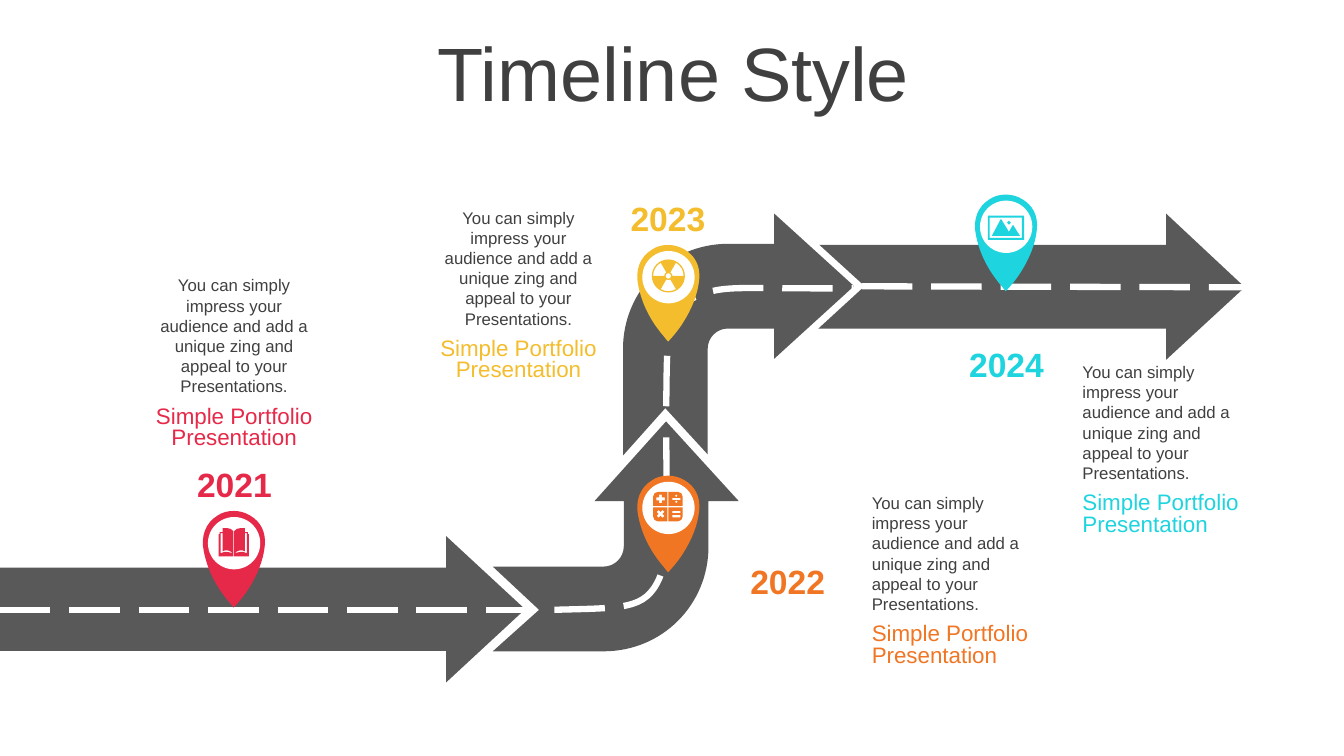
from dataclasses import dataclass
from math import ceil, cos, pi, sin, tan

from lxml.etree import Element, SubElement
from pptx import Presentation
from pptx.dml.color import RGBColor
from pptx.enum.dml import MSO_LINE
from pptx.enum.shapes import MSO_CONNECTOR, MSO_SHAPE
from pptx.enum.text import MSO_ANCHOR, PP_ALIGN
from pptx.oxml.ns import qn
from pptx.util import Pt


@dataclass(frozen=True)
class Theme:
    font: str = "Arial"
    ink: str = "404040"
    road: str = "595959"
    white: str = "FFFFFF"
    red: str = "E62949"
    orange: str = "F07624"
    yellow: str = "F4BD2D"
    cyan: str = "1ED4DE"
    title: int = 54
    year: int = 24
    heading: int = 16
    body: int = 12
    lane: float = 4.5


T = Theme()
BODY = ("You can simply impress your audience and add a unique zing "
        "and appeal to your Presentations.")
HEADING = "Simple Portfolio Presentation"

PIN = [(22.3, 0), (26, 0, 30, 0.9, 33.7, 3.1), (41.6, 7.6, 45.3, 15, 44.5, 24.4),
       (43.4, 36, 38.9, 46, 33, 55.4), (29.8, 60.5, 26, 65, 22.3, 69),
       (21.2, 68, 20.3, 66.7, 19.4, 65.5), (10, 54.7, 3.6, 42.5, 0.9, 28.8),
       (-1.4, 18, 2.2, 8.6, 10.6, 3.4), (14, 1, 18, 0, 22.3, 0)]
TURN_UP = [(0, 164.2), (79.2, 164.2), (121, 164.2, 154.1, 131, 154.1, 89.3),
           (154.1, 56.9), (175.7, 56.9), (123.8, 0), (72.7, 56.9), (93.6, 56.9),
           (93.6, 89.3), (93.6, 97.2, 87.1, 103.7, 79.2, 103.7), (0, 103.7), (33.1, 134.6)]
TURN_RIGHT = [(0, 172.8), (30.2, 139), (60.5, 172), (60.5, 96.5),
              (60.5, 88.6, 67, 82.1, 74.9, 82.1), (108, 82.1), (108, 103.7), (165, 51.8),
              (108, 0), (108, 21.6), (74.9, 21.6), (33.1, 21.6, 0, 55.4, 0, 96.5)]
LAST_ROAD = [(248.4, 104.4), (304.6, 52.6), (248.4, 0), (248.4, 22.3), (0.7, 22.3),
             (33.1, 51.8), (0, 82.1), (248.4, 82.1)]
LANE_UP = [(0, 133.9), (49.7, 132.5, 64.8, 133.9, 74.9, 111.6),
           (82.8, 91.4, 79.9, 82.8, 79.9, 0)]
LANE_RIGHT = [(0, 85), (0.7, 33.1, -0.7, 16.6, 21.6, 6.5),
              (42.5, -2.2, 50.4, 1.4, 133.9, 0.7)]


def rect(x, y, w, h):
    return [(x, y), (x + w, y), (x + w, y + h), (x, y + h)]


def arc(cx, cy, r, start=0, end=360):
    count = ceil(abs(end - start) / 90)
    step = (end - start) / count * pi / 180
    k = 4 / 3 * tan(step / 4)
    a = start * pi / 180
    nodes = [(cx + r * cos(a), cy + r * sin(a))]
    for _ in range(count):
        b = a + step
        nodes.append((cx + r * (cos(a) - k * sin(a)), cy + r * (sin(a) + k * cos(a)),
                      cx + r * (cos(b) + k * sin(b)), cy + r * (sin(b) - k * cos(b)),
                      cx + r * cos(b), cy + r * sin(b)))
        a = b
    return nodes


def mirror(outline, width, axis=0):
    return [tuple(width - v if i % 2 == axis else v for i, v in enumerate(node))
            for node in outline]


def book_icon():
    half = [(10.5, 2.2), (9.4, 0.7, 7.9, 0, 5.8, 0), (2.9, 0), (2.9, 2.9), (0.7, 2.9),
            (0.7, 4.3), (0, 4.3), (0, 20.2), (10.5, 20.2)]
    page = [(2.9, 3.6), (1.4, 3.6), (1.4, 18), (5, 16, 7.2, 17.3, 10.4, 18),
            (7.9, 15.8, 5, 15.1, 2.9, 16.6)]
    return [half, page, mirror(half, 21.6), mirror(page, 21.6)]


def calculator_icon():
    size = 21.2
    key = [(3.6, 0), (10.3, 0), (10.3, 10.1), (0, 10.1), (0, 3.6), (0, 1.6, 1.6, 0, 3.6, 0)]
    lower = mirror(key, size, 1)
    plus = [(-3, -1), (-1, -1), (-1, -3), (1, -3), (1, -1), (3, -1),
            (3, 1), (1, 1), (1, 3), (-1, 3), (-1, 1), (-3, 1)]
    k = cos(pi / 4)
    add = [(5.4 + x, 5.1 + y) for x, y in plus]
    times = [(5.4 + k * (x - y), 15.8 + k * (x + y)) for x, y in plus]
    bars = [rect(13.8, y, 5.7, 1.6) for y in (4.3, 13.6, 16.6)]
    dots = [arc(16.6, y, 1) for y in (2.9, 7.2)]
    return [key, lower, mirror(key, size), mirror(lower, size), add, times, *bars, *dots]


def radiation_icon():
    c = 11.8
    blades = [arc(c, c, 10.9, a, a + 60) + arc(c, c, 2.9, a + 60, a)
              for a in (60, 180, 300)]
    return [arc(c, c, c), arc(c, c, 2), *blades]


def photo_icon():
    hills = [(9.4, 2.2), (15.1, 11.5), (18, 6.5), (23, 14.4), (2.9, 14.4)]
    return [rect(0, 0, 25.9, 17.3), rect(1.4, 1.4, 23, 14.4), hills, arc(15.1, 5, 1.4)]


def paint(sp, color):
    sp.shadow.inherit = False
    sp.fill.solid()
    sp.fill.fore_color.rgb = RGBColor.from_string(color)
    sp.line.fill.background()
    return sp


def dash(line):
    line.color.rgb = RGBColor.from_string(T.white)
    line.width = Pt(T.lane)
    line.dash_style = MSO_LINE.LONG_DASH


def add_outline(s, left, top, outlines, close=True):
    fb = None
    for outline in outlines:
        first, *rest = [(Pt(left + node[-2]), Pt(top + node[-1])) for node in outline]
        if fb is None:
            fb = s.shapes.build_freeform(*first)
        else:
            fb.move_to(*first)
        fb.add_line_segments(rest, close=close)
    sp = fb.convert_to_shape()
    nodes = [node for outline in outlines for node in outline[1:]]
    for segment, node in zip(list(sp._element.iter(qn("a:lnTo"))), nodes):
        if len(node) == 6:
            segment.tag = qn("a:cubicBezTo")
            for i in (0, 1):
                x, y = node[2 * i:2 * i + 2]
                segment.insert(i, Element(qn("a:pt"), x=str(Pt(left + x) - sp.left),
                                          y=str(Pt(top + y) - sp.top)))
    return sp


def add_text(s, box, text, size, color, align=PP_ALIGN.CENTER, bold=False,
             spacing=None, anchor=MSO_ANCHOR.TOP):
    tf = s.shapes.add_textbox(*map(Pt, box)).text_frame
    tf.word_wrap = True
    tf.vertical_anchor = anchor
    p = tf.paragraphs[0]
    p.text = text
    p.alignment = align
    p.line_spacing = spacing
    p.font.name, p.font.size, p.font.bold = T.font, Pt(size), bold
    p.font.color.rgb = RGBColor.from_string(color)


def add_straight_lane(s, x1, y1, x2, y2):
    c = s.shapes.add_connector(MSO_CONNECTOR.STRAIGHT, Pt(x1), Pt(y1), Pt(x2), Pt(y2))
    dash(c.line)
    SubElement(c._element.spPr, qn("a:effectLst"))


def add_curved_lane(s, left, top, outline):
    sp = add_outline(s, left, top, [outline], close=False)
    sp.shadow.inherit = False
    sp.fill.background()
    dash(sp.line)


def add_road(s, left, top):
    paint(add_outline(s, left + 445, top, [TURN_RIGHT]), T.road)
    paint(add_outline(s, left + 352, top + 148.4, [TURN_UP]), T.road)
    sp = s.shapes.add_shape(MSO_SHAPE.RIGHT_ARROW, Pt(left), Pt(top + 230.4),
                            Pt(375.1), Pt(104.4))
    sp.adjustments[0], sp.adjustments[1] = 0.57, 0.54
    paint(sp, T.road)
    paint(add_outline(s, left + 584.6, top, [LAST_ROAD]), T.road)
    add_straight_lane(s, left, top + 283, left + 375.1, top + 283)
    add_curved_lane(s, left + 396, top + 149.1, LANE_UP)
    add_curved_lane(s, left + 475.9, top + 52.6, LANE_RIGHT)
    add_straight_lane(s, left + 615.6, top + 51.9, left + 889.2, top + 52.6)


def add_pin(s, left, top, color, icon, dx, dy):
    paint(add_outline(s, left, top, [PIN]), color)
    paint(s.shapes.add_shape(MSO_SHAPE.OVAL, Pt(left + 3.8), Pt(top + 4.3),
                             Pt(37.4), Pt(37.4)), T.white)
    paint(add_outline(s, left + dx, top + dy, icon), color)


def add_caption(s, left, top, color, align):
    add_text(s, (left, top, 131.5, 94.3), BODY, T.body, T.ink, align)
    add_text(s, (left, top + 94.1, 131.5, 38.2), HEADING, T.heading, color, align,
             spacing=0.8)


def add_milestone(s, year, color, pin, icon, icon_offset, year_at, caption_at, align):
    add_pin(s, *pin, color, icon, *icon_offset)
    add_text(s, (*year_at, 92.9, 36), year, T.year, color, bold=True,
             anchor=MSO_ANCHOR.MIDDLE)
    add_caption(s, *caption_at, color, align)


def main():
    prs = Presentation()
    prs.slide_width, prs.slide_height = Pt(960), Pt(540)
    s = prs.slides.add_slide(prs.slide_layouts[6])
    add_text(s, (25.2, 26.6, 911.5, 56.9), "Timeline Style", T.title, T.ink,
             spacing=0.9, anchor=MSO_ANCHOR.MIDDLE)
    add_road(s, 0, 152.6)
    center, left = PP_ALIGN.CENTER, PP_ALIGN.LEFT
    add_milestone(s, "2021", T.red, (144.7, 365), book_icon(), (11.5, 12.2),
                  (121, 327.6), (101.5, 193), center)
    add_milestone(s, "2022", T.orange, (455, 339.8), calculator_icon(), (11.5, 11.5),
                  (516.2, 396.7), (615.6, 348.5), left)
    add_milestone(s, "2023", T.yellow, (455, 175), radiation_icon(), (10.6, 10.3),
                  (430.6, 137.5), (304.6, 144.7), center)
    add_milestone(s, "2024", T.cyan, (696.2, 139), photo_icon(), (9.4, 15.1),
                  (672.5, 241.9), (766.1, 254.9), left)
    prs.save("out.pptx")


if __name__ == "__main__":
    main()
